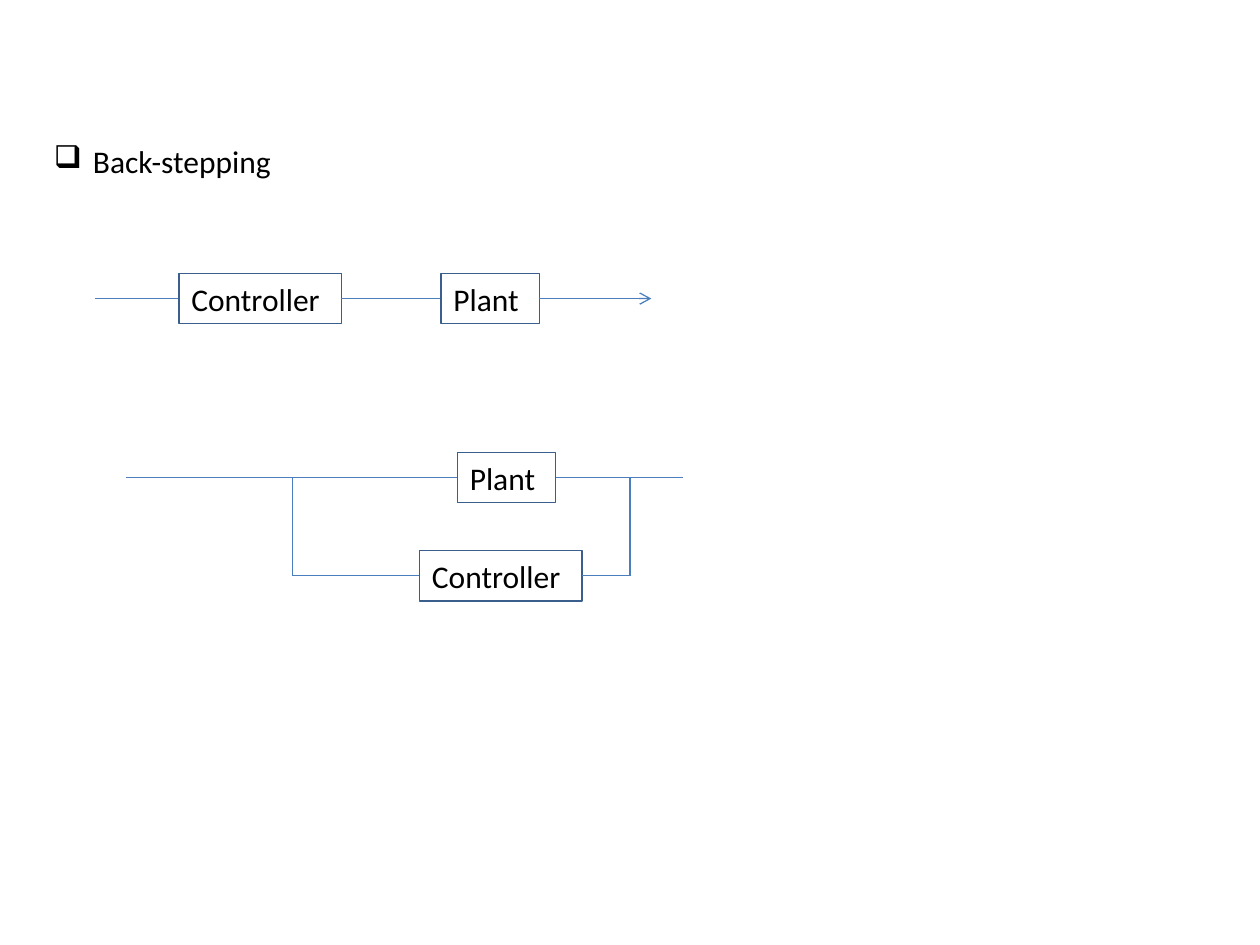
import pptx
import pptx.dml.color
import pptx.enum.shapes
import pptx.enum.text
import pptx.oxml
import pptx.oxml.ns
import pptx.util
from pptx.util import Inches

LINE_COLOR = "4B7EBC"
BORDER_COLOR = "3A5F8C"
TEXT_COLOR = "000000"
BLOCK_WIDTHS = {"Plant": 0.78, "Controller": 1.29}
BLOCK_HEIGHT = 0.4


def color(value):
    """Return the colour for a hex string."""
    return pptx.dml.color.RGBColor.from_string(value)


def write_text(shape, text):
    """Write one left-aligned line and return its paragraph."""
    shape.text_frame.word_wrap = True
    paragraph = shape.text_frame.paragraphs[0]
    paragraph.text = text
    paragraph.alignment = pptx.enum.text.PP_ALIGN.LEFT
    font = paragraph.runs[0].font
    font.name, font.size = "Calibri", pptx.util.Pt(18)
    font.color.rgb = color(TEXT_COLOR)
    return paragraph


def add_heading(slide, left, top, width, height, text):
    """Add a heading with a hollow square bullet."""
    box = slide.shapes.add_textbox(Inches(left), Inches(top), Inches(width), Inches(height))
    properties = write_text(box, text)._p.get_or_add_pPr()
    indent = Inches(0.31)
    properties.set("marL", str(indent))
    properties.set("indent", str(-indent))
    bullet = pptx.oxml.ns.qn("a:buChar")
    properties.append(properties.makeelement(bullet, {"char": "❑"}))


def add_block(slide, left, middle, name):
    """Add a named block centred on a signal line and return its right edge."""
    width = BLOCK_WIDTHS[name]
    block = slide.shapes.add_shape(
        pptx.enum.shapes.MSO_SHAPE.RECTANGLE,
        Inches(left), Inches(middle - BLOCK_HEIGHT / 2), Inches(width), Inches(BLOCK_HEIGHT))
    block.shadow.inherit = False
    block.fill.background()
    block.line.color.rgb = color(BORDER_COLOR)
    block.line.width = pptx.util.Pt(0.75)
    write_text(block, name)
    return left + width


def add_signal(slide, start, end, arrow=False):
    """Add a straight signal line, with an open arrowhead on request."""
    signal = slide.shapes.add_connector(
        pptx.enum.shapes.MSO_CONNECTOR.STRAIGHT, *map(Inches, start + end))
    signal.line.color.rgb = color(LINE_COLOR)
    signal.line.width = pptx.util.Pt(0.75)
    if arrow:
        outline = signal.line._ln
        tail = pptx.oxml.ns.qn("a:tailEnd")
        outline.append(outline.makeelement(tail, {"type": "arrow"}))
    properties = signal._element.spPr
    properties.append(properties.makeelement(pptx.oxml.ns.qn("a:effectLst"), {}))


def add_row(slide, left, middle, width, blocks, arrow=False):
    """Add blocks at offsets along a row, joined by signal lines."""
    start = left
    for name, offset in blocks:
        add_signal(slide, (start, middle), (left + offset, middle))
        start = add_block(slide, left + offset, middle, name)
    add_signal(slide, (start, middle), (left + width, middle), arrow)


def add_series_diagram(slide, left, middle, width):
    """Add the controller and plant in series."""
    add_row(slide, left, middle, width, [("Controller", 0.67), ("Plant", 2.75)], arrow=True)


def add_feedback_diagram(slide, left, middle, width):
    """Add the plant with the controller in a loop below it."""
    add_row(slide, left, middle, width, [("Plant", 2.63)])
    loop_left, loop_width, loop_middle = left + 1.32, 2.68, middle + 0.78
    add_row(slide, loop_left, loop_middle, loop_width, [("Controller", 1.01)])
    for side in (loop_left, loop_left + loop_width):
        add_signal(slide, (side, middle), (side, loop_middle))


def main():
    """Build and save the slide."""
    presentation = pptx.Presentation()
    presentation.slide_width, presentation.slide_height = Inches(10), Inches(7.5)
    slide = presentation.slides.add_slide(presentation.slide_layouts[6])
    add_heading(slide, 0.33, 1.08, 7.67, 1.01, "Back-stepping")
    add_series_diagram(slide, 0.75, 2.37, 4.42)
    add_feedback_diagram(slide, 1, 3.79, 4.42)
    presentation.save("out.pptx")


if __name__ == "__main__":
    main()
